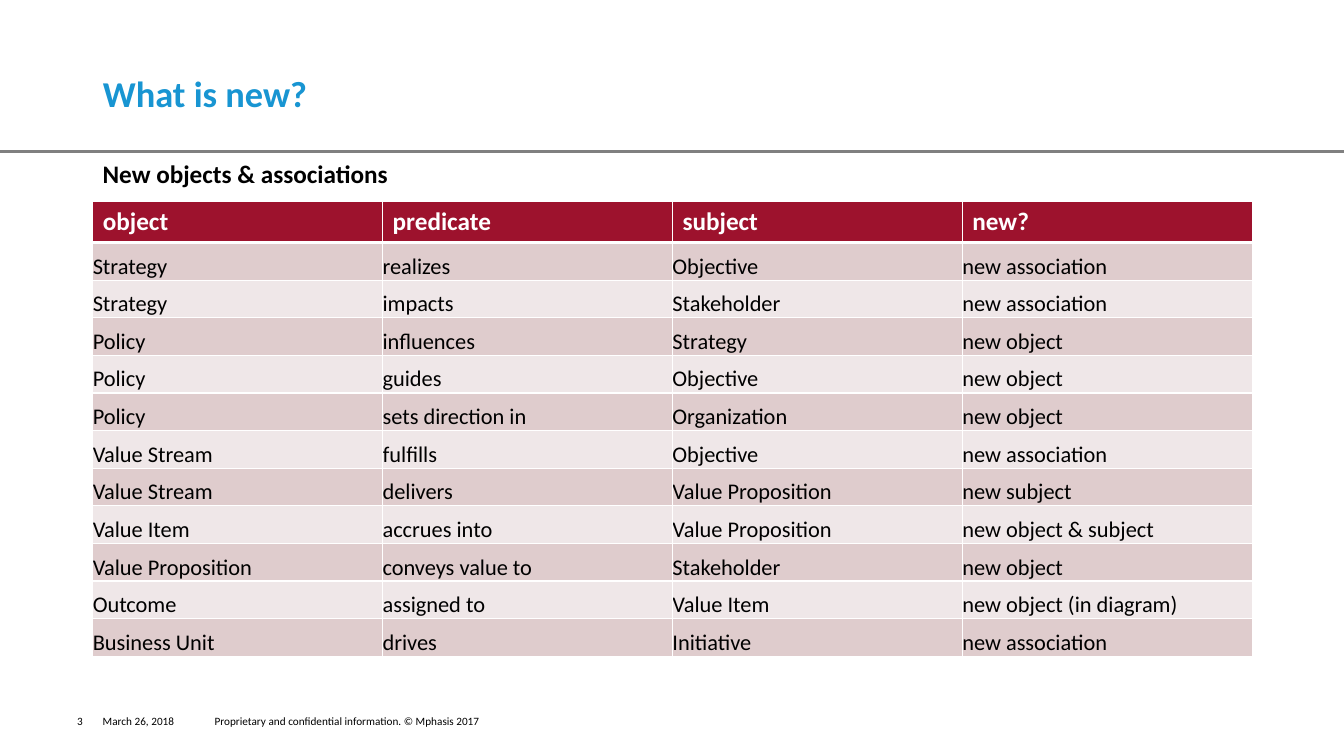
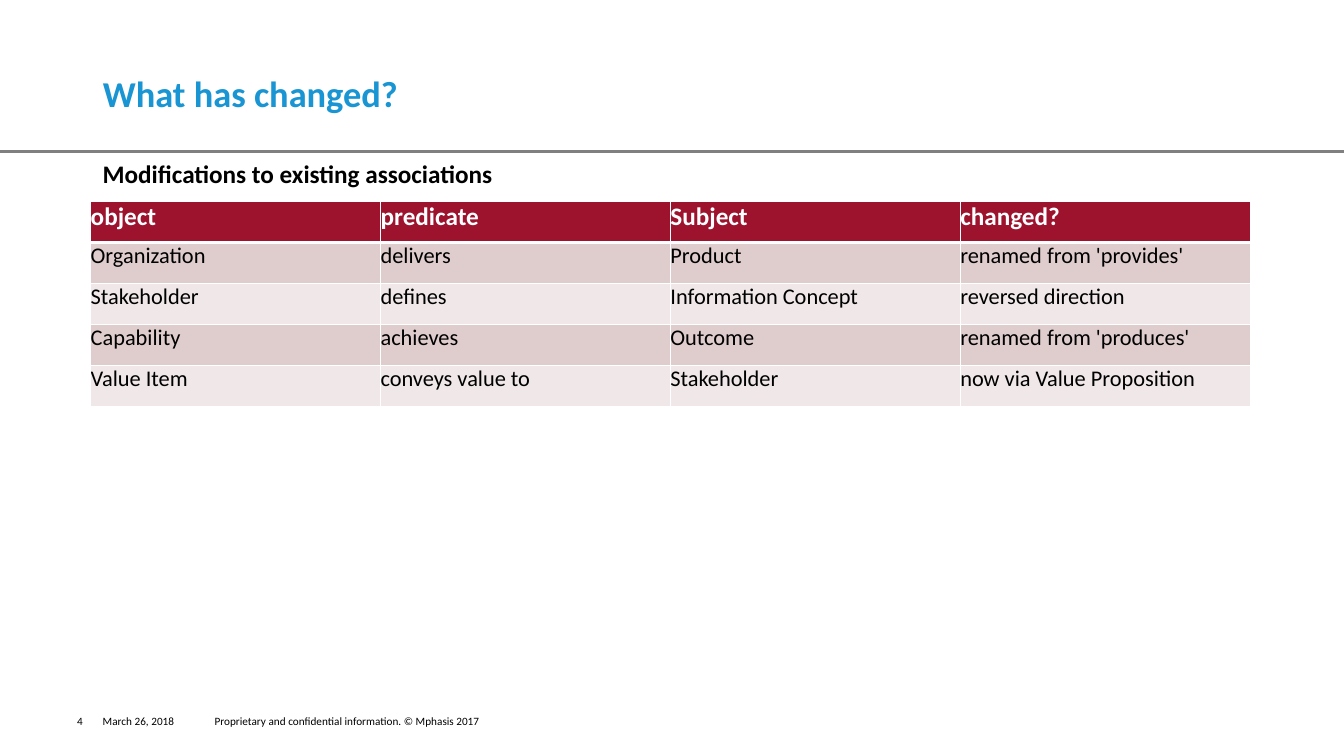
from lxml import etree
from pptx import Presentation
from pptx.dml.color import RGBColor
from pptx.enum.shapes import MSO_CONNECTOR
from pptx.enum.text import MSO_ANCHOR, PP_ALIGN
from pptx.oxml.ns import qn
from pptx.util import Inches, Pt

LINE = MSO_CONNECTOR.STRAIGHT
TOP, MID, LOW = MSO_ANCHOR.TOP, MSO_ANCHOR.MIDDLE, MSO_ANCHOR.BOTTOM
LEFT, RIGHT = PP_ALIGN.LEFT, PP_ALIGN.RIGHT

# Shared look
FONT = "Calibri"
BLUE, GREY, RED = "1895D2", "808080", "9D122D"
DARK, PALE, BLACK, WHITE = "DFCCCD", "EFE7E8", "000000", "FFFFFF"

# Shared places: left, top, width, height in inches
WIDE, HIGH = 13.33, 7.5
EDGE, SPAN = 0.92, 11.5
HEAD = (EDGE, 0.4, SPAN, 1.09)
SUB = (EDGE, 1.49, SPAN, 0.5)
RULE = 1.5
FOOT = (0.44, 6.95, 8.48, 0.4)
DATE = "March 26, 2018"
NOTE = "Proprietary and confidential information. © Mphasis 2017"

NEW = [
    ("object", "predicate", "subject", "new?"),
    ("Strategy", "realizes", "Objective", "new association"),
    ("Strategy", "impacts", "Stakeholder", "new association"),
    ("Policy", "influences", "Strategy", "new object"),
    ("Policy", "guides", "Objective", "new object"),
    ("Policy", "sets direction in", "Organization", "new object"),
    ("Value Stream", "fulfills", "Objective", "new association"),
    ("Value Stream", "delivers", "Value Proposition", "new subject"),
    ("Value Item", "accrues into", "Value Proposition", "new object & subject"),
    ("Value Proposition", "conveys value to", "Stakeholder", "new object"),
    ("Outcome", "assigned to", "Value Item", "new object (in diagram)"),
    ("Business Unit", "drives", "Initiative", "new association"),
]
CHANGED = [
    ("object", "predicate", "Subject", "changed?"),
    ("Organization", "delivers", "Product", "renamed from 'provides'"),
    ("Stakeholder", "defines", "Information Concept", "reversed direction"),
    ("Capability", "achieves", "Outcome", "renamed from 'produces'"),
    ("Value Item", "conveys value to", "Stakeholder", "now via Value Proposition"),
]


def color(code):
    return RGBColor.from_string(code)


def write(frame, text, size, code, bold=False, align=LEFT):
    frame.text = text
    para = frame.paragraphs[0]
    para.alignment = align
    font = para.runs[0].font
    font.name, font.size, font.bold = FONT, Pt(size), bold
    font.color.rgb = color(code)
    return para


def label(slide, box, text, size, bold=False, align=LEFT):
    frame = slide.shapes.add_textbox(*map(Inches, box)).text_frame
    frame.word_wrap = True
    frame.vertical_anchor = MID
    return write(frame, text, size, BLACK, bold, align)


def border(cell, top, low):
    """Draw white cell borders; top and low are widths in points."""
    props = cell._tc.get_or_add_tcPr()
    sides = (("a:lnL", 1), ("a:lnR", 1), ("a:lnT", top), ("a:lnB", low))
    for place, (tag, width) in enumerate(sides):
        line = etree.Element(qn(tag), w=str(Pt(width)))
        fill = etree.SubElement(line, qn("a:solidFill"))
        etree.SubElement(fill, qn("a:srgbClr"), val=WHITE)
        props.insert(place, line)


def heading(slide, text):
    title = slide.shapes.title
    title.left, title.top, title.width, title.height = map(Inches, HEAD)
    title.text_frame.vertical_anchor = MID
    title.text_frame.word_wrap = True
    write(title.text_frame, text, 26, BLUE, True).line_spacing = 0.9


def rule(slide):
    y = Inches(RULE)
    line = slide.shapes.add_connector(LINE, 0, y, Inches(WIDE), y)
    line.line.color.rgb = color(GREY)
    line.line.width = Pt(2)
    etree.SubElement(line._element.spPr, qn("a:effectLst"))


def footer(slide, box, page):
    left, top, width, height = box
    parts = ((str(page), 0.48, RIGHT), (DATE, 1.11, LEFT), (NOTE, width - 1.59, LEFT))
    for text, wide, align in parts:
        label(slide, (left, top, wide, height), text, 8, align=align)
        left += wide


def grid(slide, box, rows, anchor, inset):
    """Fill box with a table; inset keeps the default margins in the top row."""
    count = len(rows)
    table = slide.shapes.add_table(count, len(rows[0]), *map(Inches, box)).table
    for r, row in enumerate(rows):
        table.rows[r].height = Inches(box[3] / count)
        first = r == 0
        for c, text in enumerate(row):
            cell = table.cell(r, c)
            cell.fill.solid()
            cell.fill.fore_color.rgb = color(RED if first else DARK if r % 2 else PALE)
            cell.vertical_anchor = TOP if first else anchor
            if not (first and inset):
                cell.margin_left = cell.margin_right = 0
                cell.margin_top = cell.margin_bottom = 0
            write(cell.text_frame, text, 18 if first else 16,
                  WHITE if first else BLACK, first)
            border(cell, 3 if r == 1 else 1, 3 if first else 1)


def page(deck, number, title, sub, box, rows, anchor=TOP, inset=False):
    slide = deck.slides.add_slide(deck.slide_layouts[5])
    rule(slide)
    heading(slide, title)
    grid(slide, box, rows, anchor, inset)
    footer(slide, FOOT, number)
    label(slide, SUB, sub, 18, True).line_spacing = 0.9


def main():
    deck = Presentation()
    deck.slide_width, deck.slide_height = Inches(WIDE), Inches(HIGH)
    page(deck, 3, "What is new?", "New objects & associations",
         (EDGE, 2, SPAN, 4.48), NEW, LOW, True)
    page(deck, 4, "What has changed?", "Modifications to existing associations",
         (0.9, 2, SPAN, 2.03), CHANGED)
    deck.save("out.pptx")


if __name__ == "__main__":
    main()
